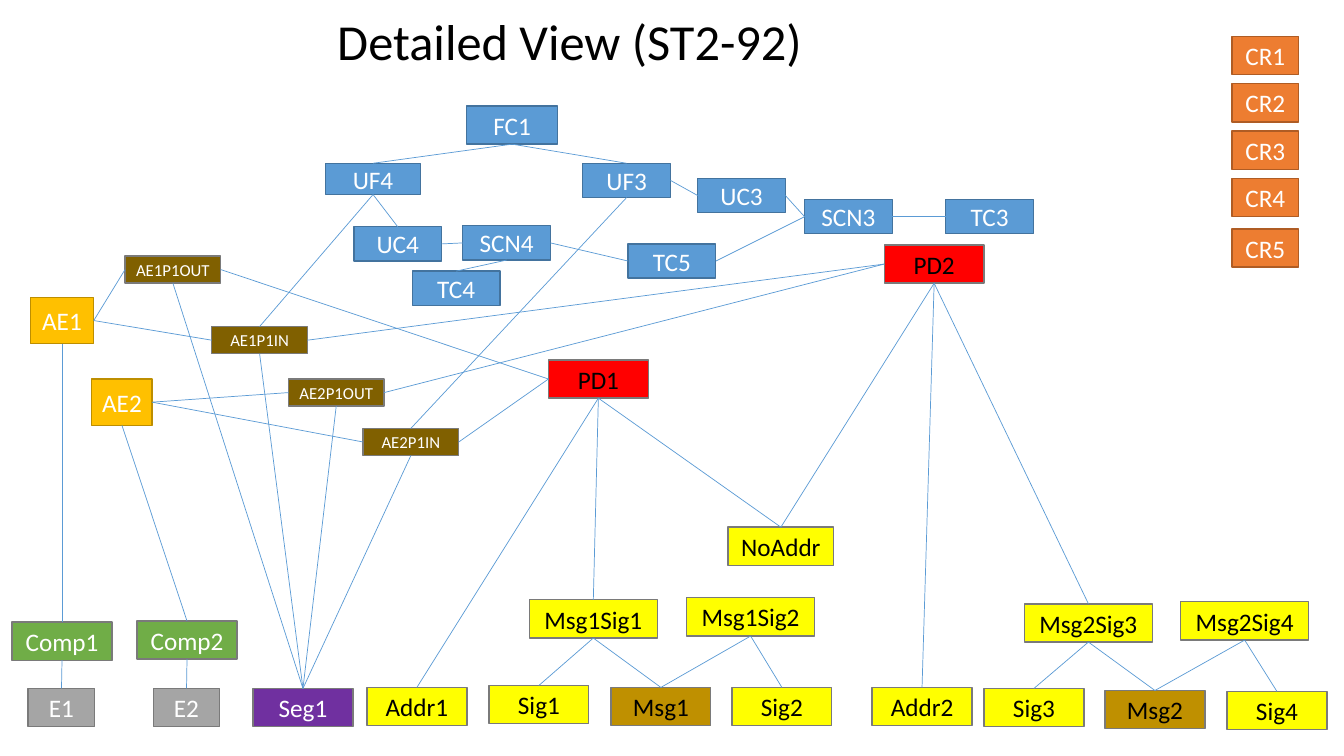
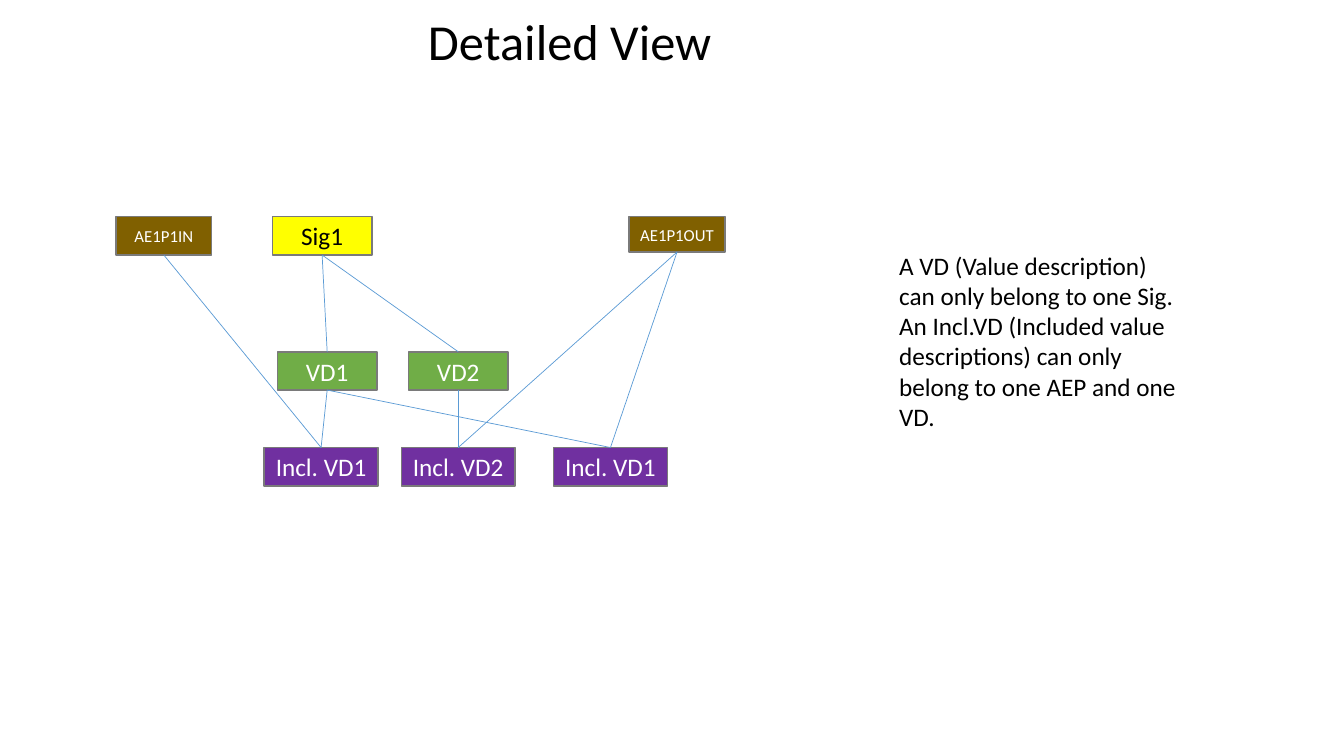
import pptx
import pptx.util
import pptx.dml.color
import pptx.enum.shapes
import pptx.enum.text
import pptx.oxml

Inches, Pt = pptx.util.Inches, pptx.util.Pt
RGB = pptx.dml.color.RGBColor
ANCHOR = pptx.enum.text.MSO_ANCHOR
ALIGN = pptx.enum.text.PP_ALIGN
FONT = "Calibri"

COLORS = {
    "black": "000000", "white": "FFFFFF", "gray": "A5A5A5", "gray edge": "7A7A7A",
    "blue": "5B9BD5", "blue edge": "43739E", "gold": "FFC000", "gold edge": "BD8E00",
    "orange": "ED7D31", "orange edge": "AF5C24", "green": "70AD47", "purple": "7030A0",
    "red": "FF0000", "yellow": "FFFF00", "ochre": "BF9000", "brown": "806000",
}

# kind: fill, edge, text colour, text size
KINDS = {
    "function": ("blue", "blue edge", "white", 18),
    "element": ("gold", "gold edge", "white", 18),
    "port": ("brown", "gray edge", "white", 12),
    "request": ("orange", "orange edge", "white", 18),
    "component": ("green", "gray edge", "white", 18),
    "unit": ("gray", "gray edge", "white", 18),
    "segment": ("purple", "gray edge", "white", 18),
    "pdu": ("red", "gray edge", "black", 18),
    "signal": ("yellow", "gray edge", "black", 18),
    "message": ("ochre", "gray edge", "black", 18),
}

# Connection sites of a rectangle
SITES = {"top": 0, "left": 1, "bottom": 2, "right": 3}

# Boxes: text, kind, left, top, width, height
network_boxes = [
    ("AE1", "element", 0.3, 2.95, 0.63, 0.46),
    ("AE2", "element", 0.91, 3.76, 0.6, 0.46),
    ("FC1", "function", 4.63, 1.05, 0.9, 0.38),
    ("UF4", "function", 3.23, 1.62, 0.94, 0.31),
    ("UF3", "function", 5.78, 1.62, 0.87, 0.34),
    ("UC3", "function", 6.92, 1.77, 0.87, 0.34),
    ("SCN3", "function", 7.98, 1.98, 0.87, 0.34),
    ("TC3", "function", 9.38, 1.98, 0.87, 0.34),
    ("UC4", "function", 3.51, 2.25, 0.87, 0.34),
    ("SCN4", "function", 4.59, 2.24, 0.87, 0.34),
    ("TC4", "function", 4.09, 2.69, 0.87, 0.34),
    ("TC5", "function", 6.23, 2.42, 0.87, 0.34),
    ("AE1P1OUT", "port", 1.24, 2.54, 0.95, 0.27),
    ("AE1P1IN", "port", 2.1, 3.24, 0.95, 0.27),
    ("AE2P1OUT", "port", 2.86, 3.76, 0.95, 0.27),
    ("AE2P1IN", "port", 3.6, 4.25, 0.95, 0.27),
    ("PD1", "pdu", 5.44, 3.57, 0.99, 0.38),
    ("PD2", "pdu", 8.77, 2.43, 0.99, 0.38),
    ("Comp1", "component", 0.12, 6.17, 0.99, 0.38),
    ("Comp2", "component", 1.36, 6.16, 0.99, 0.38),
    ("E1", "unit", 0.28, 6.83, 0.66, 0.38),
    ("E2", "unit", 1.52, 6.83, 0.66, 0.38),
    ("Seg1", "segment", 2.51, 6.83, 0.99, 0.38),
    ("NoAddr", "signal", 7.22, 5.23, 1.05, 0.38),
    ("Addr1", "signal", 3.64, 6.82, 0.99, 0.38),
    ("Addr2", "signal", 8.65, 6.82, 0.99, 0.38),
    ("Msg1Sig1", "signal", 5.25, 5.95, 1.27, 0.38),
    ("Msg1Sig2", "signal", 6.81, 5.93, 1.27, 0.38),
    ("Sig1", "signal", 4.85, 6.8, 0.99, 0.38),
    ("Msg1", "message", 6.06, 6.82, 0.99, 0.38),
    ("Sig2", "signal", 7.26, 6.82, 0.99, 0.38),
    ("Msg2Sig3", "signal", 10.16, 5.99, 1.27, 0.38),
    ("Msg2Sig4", "signal", 11.71, 5.97, 1.27, 0.38),
    ("Sig3", "signal", 9.76, 6.83, 0.99, 0.38),
    ("Msg2", "message", 10.96, 6.85, 0.99, 0.38),
    ("Sig4", "signal", 12.17, 6.86, 0.99, 0.38),
]
network_boxes += [(f"CR{i + 1}", "request", 12.22, 0.36 + 0.47 * i, 0.66, 0.38) for i in range(4)]
network_boxes.append(("CR5", "request", 12.22, 2.27, 0.66, 0.38))

value_boxes = [
    ("AE1P1IN", "port", 1.15, 2.15, 0.95, 0.38),
    ("Sig1", "signal", 2.7, 2.15, 0.99, 0.38),
    ("AE1P1OUT", "port", 6.24, 2.15, 0.95, 0.35),
    ("VD1", "component", 2.75, 3.49, 0.99, 0.38),
    ("VD2", "component", 4.05, 3.49, 0.99, 0.38),
    ("Incl. VD1", "segment", 2.62, 4.44, 1.13, 0.38),
    ("Incl. VD2", "segment", 3.98, 4.44, 1.13, 0.38),
    ("Incl. VD1", "segment", 5.49, 4.44, 1.13, 0.38),
]

# Links: side of the first box, side of the others, {first box: other boxes}
network_links = [
    ("bottom", "top", {
        "FC1": ["UF4", "UF3"], "UF4": ["UC4", "AE1P1IN"], "UF3": ["AE2P1IN"],
        "SCN4": ["TC4"], "AE1": ["Comp1"], "AE2": ["Comp2"], "Comp1": ["E1"],
        "Comp2": ["E2"], "AE1P1OUT": ["Seg1"], "AE1P1IN": ["Seg1"],
        "AE2P1OUT": ["Seg1"], "AE2P1IN": ["Seg1"],
        "PD1": ["Addr1", "Msg1Sig1", "NoAddr"], "PD2": ["NoAddr", "Addr2", "Msg2Sig3"],
        "Msg1Sig1": ["Sig1", "Msg1"], "Msg1Sig2": ["Msg1", "Sig2"],
        "Msg2Sig3": ["Sig3", "Msg2"], "Msg2Sig4": ["Msg2", "Sig4"],
    }),
    ("right", "left", {
        "UF3": ["UC3"], "UC3": ["SCN3"], "SCN3": ["TC3"], "UC4": ["SCN4"],
        "SCN4": ["TC5"], "TC5": ["SCN3"], "AE1": ["AE1P1OUT", "AE1P1IN"],
        "AE2": ["AE2P1OUT", "AE2P1IN"], "AE1P1OUT": ["PD1"], "AE2P1IN": ["PD1"],
        "AE1P1IN": ["PD2"], "AE2P1OUT": ["PD2"],
    }),
]
value_links = [
    ("bottom", "top", {
        "AE1P1IN": ["Incl. VD1"], "Sig1": ["VD1", "VD2"],
        "AE1P1OUT": ["Incl. VD2", "Incl. VD1 (2)"],
        "VD1": ["Incl. VD1", "Incl. VD1 (2)"], "VD2": ["Incl. VD2"],
    }),
]


def color(name):
    return RGB.from_string(COLORS[name])


def write(shape, text, size, text_color, anchor, align, wrap):
    tf = shape.text_frame
    frame_format = {"word_wrap": wrap, "vertical_anchor": anchor,
                    "auto_size": pptx.enum.text.MSO_AUTO_SIZE.NONE}
    for name, value in frame_format.items():
        setattr(tf, name, value)
    p = tf.paragraphs[0]
    p.alignment = align
    r = p.add_run()
    r.text = text
    for name, value in {"name": FONT, "size": Pt(size)}.items():
        setattr(r.font, name, value)
    r.font.color.rgb = color(text_color)


prs = pptx.Presentation()
prs.slide_width, prs.slide_height = Inches(13.33), Inches(7.5)
title_only = prs.slide_layouts[5]

for title, boxes, links in [
    ("Detailed View (ST2-92)", network_boxes, network_links),
    ("Detailed View", value_boxes, value_links),
]:
    s = prs.slides.add_slide(title_only)
    sp = s.shapes.title
    sp.left, sp.top, sp.width, sp.height = map(Inches, (3.19, 0.05, 4.92, 0.71))
    write(sp, title, 36, "black", ANCHOR.TOP, ALIGN.CENTER, True)

    nodes = {}
    for text, kind, *place in boxes:
        fill, edge, text_color, size = KINDS[kind]
        sp = s.shapes.add_shape(pptx.enum.shapes.MSO_SHAPE.RECTANGLE, *map(Inches, place))
        sp.shadow.inherit = False
        sp.fill.solid()
        sp.fill.fore_color.rgb = color(fill)
        sp.line.color.rgb = color(edge)
        sp.line.width = Pt(1)
        write(sp, text, size, text_color, ANCHOR.MIDDLE, ALIGN.CENTER, False)
        # A repeated label gets a numbered key
        nodes[f"{text} (2)" if text in nodes else text] = sp

    for start_side, end_side, targets in links:
        for start, ends in targets.items():
            for end in ends:
                line = s.shapes.add_connector(pptx.enum.shapes.MSO_CONNECTOR.STRAIGHT, 0, 0, 0, 0)
                line.begin_connect(nodes[start], SITES[start_side])
                line.end_connect(nodes[end], SITES[end_side])
                line.line.color.rgb = color("blue")
                line.line.width = Pt(0.5)
                effects = pptx.oxml.parse_xml(
                    '<a:effectLst xmlns:a="http://schemas.openxmlformats.org/drawingml/2006/main"/>')
                line._element.spPr.append(effects)

note = s.shapes.add_textbox(*map(Inches, (8.82, 2.43, 3.03, 1.92)))
write(note, "A VD (Value description) can only belong to one Sig. An Incl.VD (Included value "
      "descriptions) can only belong to one AEP and one VD.",
      18, "black", ANCHOR.TOP, ALIGN.LEFT, True)

prs.save("out.pptx")
